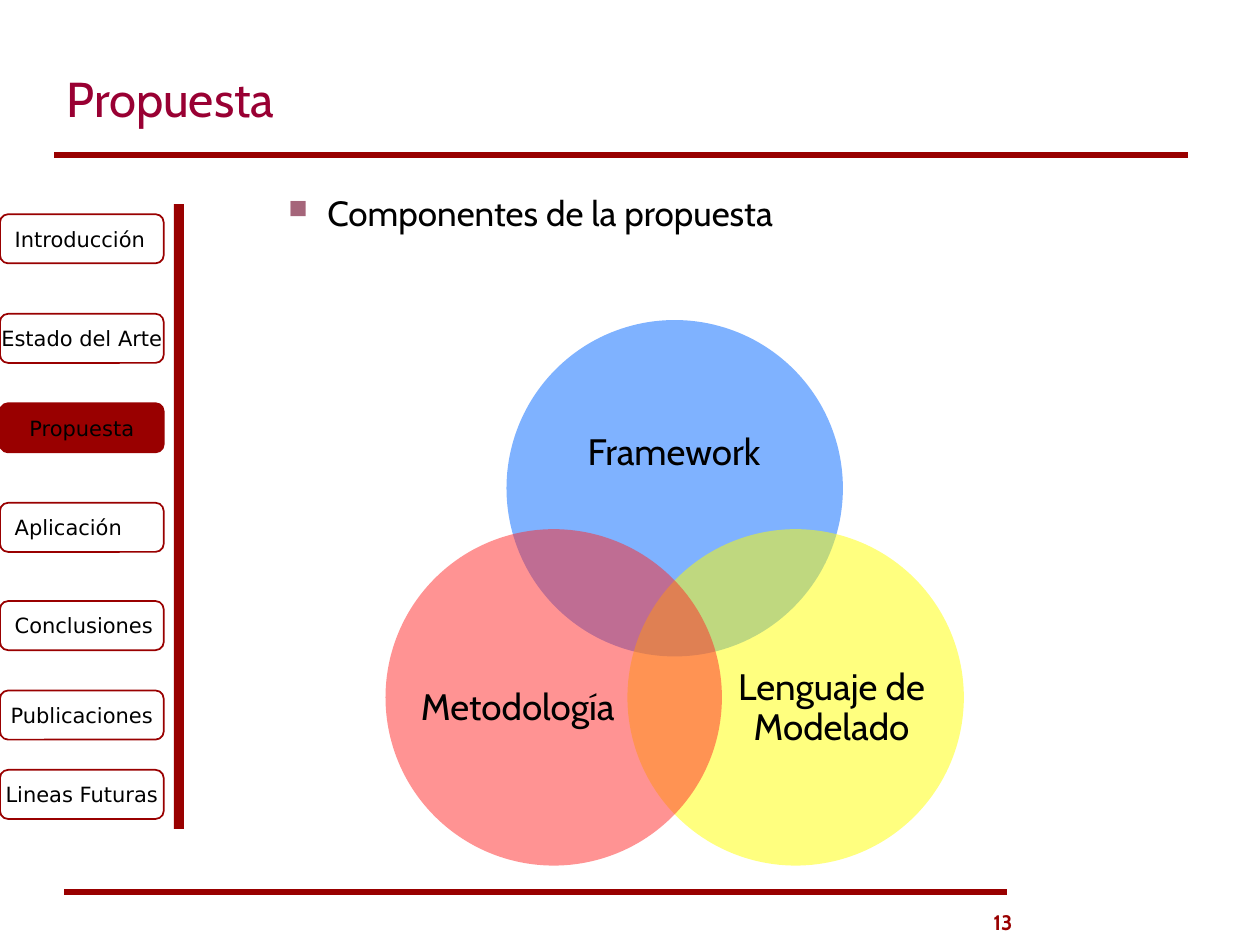
"""Build the slide on the parts of the proposal, with its side menu and Venn chart."""
import lxml.etree
import pptx
import pptx.dml.color
import pptx.enum.shapes
import pptx.enum.text
import pptx.oxml.ns
import pptx.util

RGB = pptx.dml.color.RGBColor
SHAPE = pptx.enum.shapes.MSO_SHAPE
LINE = pptx.enum.shapes.MSO_CONNECTOR.STRAIGHT
ALIGN = pptx.enum.text.PP_ALIGN
MID = pptx.enum.text.MSO_ANCHOR.MIDDLE
TOP = pptx.enum.text.MSO_ANCHOR.TOP
RED = RGB(0x99, 0x00, 0x00)
WINE = RGB(0x99, 0x00, 0x33)
MAUVE = RGB(0xA5, 0x65, 0x7A)
BLACK = RGB(0x00, 0x00, 0x00)
BLUE = RGB(0x00, 0x66, 0xFF)
YELLOW = RGB(0xFF, 0xFF, 0x00)
CORAL = RGB(0xFF, 0x29, 0x29)
SCALE = 9144


def px(*nums):
    """Turn px, at 100 to the inch, into EMU."""
    return [pptx.util.Emu(num * SCALE) for num in nums]


def add(node, tag, **attrs):
    """Append a drawing element to a node."""
    return lxml.etree.SubElement(node, pptx.oxml.ns.qn(tag), attrs)


def write(frame, text, size=12, face="Cabin", color=BLACK, bold=False,
          align=ALIGN.LEFT, anchor=TOP, wrap=True, inset=None, space=None, mark=None):
    """Put formatted text into a frame."""
    frame.word_wrap = wrap
    frame.vertical_anchor = anchor
    if inset is not None:
        frame.margin_left = frame.margin_right = inset
        frame.margin_top = frame.margin_bottom = inset
    para = frame.paragraphs[0]
    para.text = text
    para.alignment = align
    if space:
        para.line_spacing = space
    if mark:
        props = para._p.get_or_add_pPr()
        left, hang = px(81, -31)
        props.set("marL", str(left))
        props.set("indent", str(hang))
        add(add(props, "a:buClr"), "a:srgbClr", val=str(MAUVE))
        add(props, "a:buSzPct", val="75000")
        add(props, "a:buChar", char=mark)
    font = para.runs[0].font
    font.size = pptx.util.Pt(size)
    font.name = face
    font.bold = bold
    font.color.rgb = color


class Deck:
    """Hold the style and the current slide."""

    def __init__(self):
        self.show = pptx.Presentation()
        self.show.slide_width, self.show.slide_height = px(1000, 750)
        self.slide = self.show.slides.add_slide(self.show.slide_layouts[6])
        self.shapes = self.slide.shapes

    def rule(self, left, right, y):
        """Draw a level red rule."""
        line = self.shapes.add_connector(LINE, *px(left, y, right, y))
        line.line.color.rgb = RED
        line.line.width = pptx.util.Pt(3)
        add(line._element.spPr, "a:effectLst")

    def text(self, box, text, **style):
        """Add a text box."""
        write(self.shapes.add_textbox(*px(*box)).text_frame, text, **style)

    def shape(self, kind, box, fill=None, edge=None, alpha=None):
        """Add a preset shape."""
        shape = self.shapes.add_shape(kind, *px(*box))
        shape.shadow.inherit = False
        if fill is None:
            shape.fill.background()
        else:
            shape.fill.solid()
            shape.fill.fore_color.rgb = fill
        if alpha:
            color = shape._element.spPr.find(".//" + pptx.oxml.ns.qn("a:srgbClr"))
            add(color, "a:alpha", val=str(alpha * 1000))
        if edge is None:
            shape.line.fill.background()
        else:
            shape.line.color.rgb = edge
            shape.line.width = pptx.util.Pt(1)
        return shape

    def button(self, top, text, align, fill=None):
        """Add a side menu button."""
        shape = self.shape(SHAPE.ROUNDED_RECTANGLE, (0, top, 130, 39), fill, RED)
        write(shape.text_frame, text, face="DejaVu Sans", align=align, anchor=MID, wrap=False)

    def circle(self, left, top, fill, box, text):
        """Add a Venn circle and its label."""
        self.shape(SHAPE.OVAL, (left, top, 267, 267), fill, alpha=50)
        self.text(box, text, size=21, align=ALIGN.CENTER, anchor=MID, inset=0, space=0.9)


def main():
    """Draw the slide and save it."""
    deck = Deck()
    deck.rule(51, 799, 708)
    deck.rule(43, 943, 123)
    deck.text((43, 44, 914, 67), "Propuesta", size=28, color=WINE, anchor=MID)
    deck.text((750, 717, 92, 33), "13", color=RED, bold=True, align=ALIGN.CENTER)

    deck.shape(SHAPE.RECTANGLE, (138, 162, 8, 496), RED)
    menu = [
        (170, "Introducción", ALIGN.LEFT, None),
        (249, "Estado del Arte", ALIGN.CENTER, None),
        (320, "Propuesta", ALIGN.CENTER, RED),
        (399, "Aplicación", ALIGN.LEFT, None),
        (477, "Conclusiones", ALIGN.LEFT, None),
        (548, "Publicaciones", ALIGN.CENTER, None),
        (611, "Lineas Futuras", ALIGN.CENTER, None),
    ]
    for item in menu:
        deck.button(*item)

    deck.circle(402, 254, BLUE, (437, 300, 196, 120), "Framework")
    deck.circle(498, 420, YELLOW, (580, 489, 160, 147), "Lenguaje de Modelado")
    deck.circle(306, 420, CORAL, (331, 489, 160, 147), "Metodología")
    deck.text((169, 147, 756, 39), "Componentes de la propuesta", size=20, mark="■")
    deck.show.save("out.pptx")


if __name__ == "__main__":
    main()
